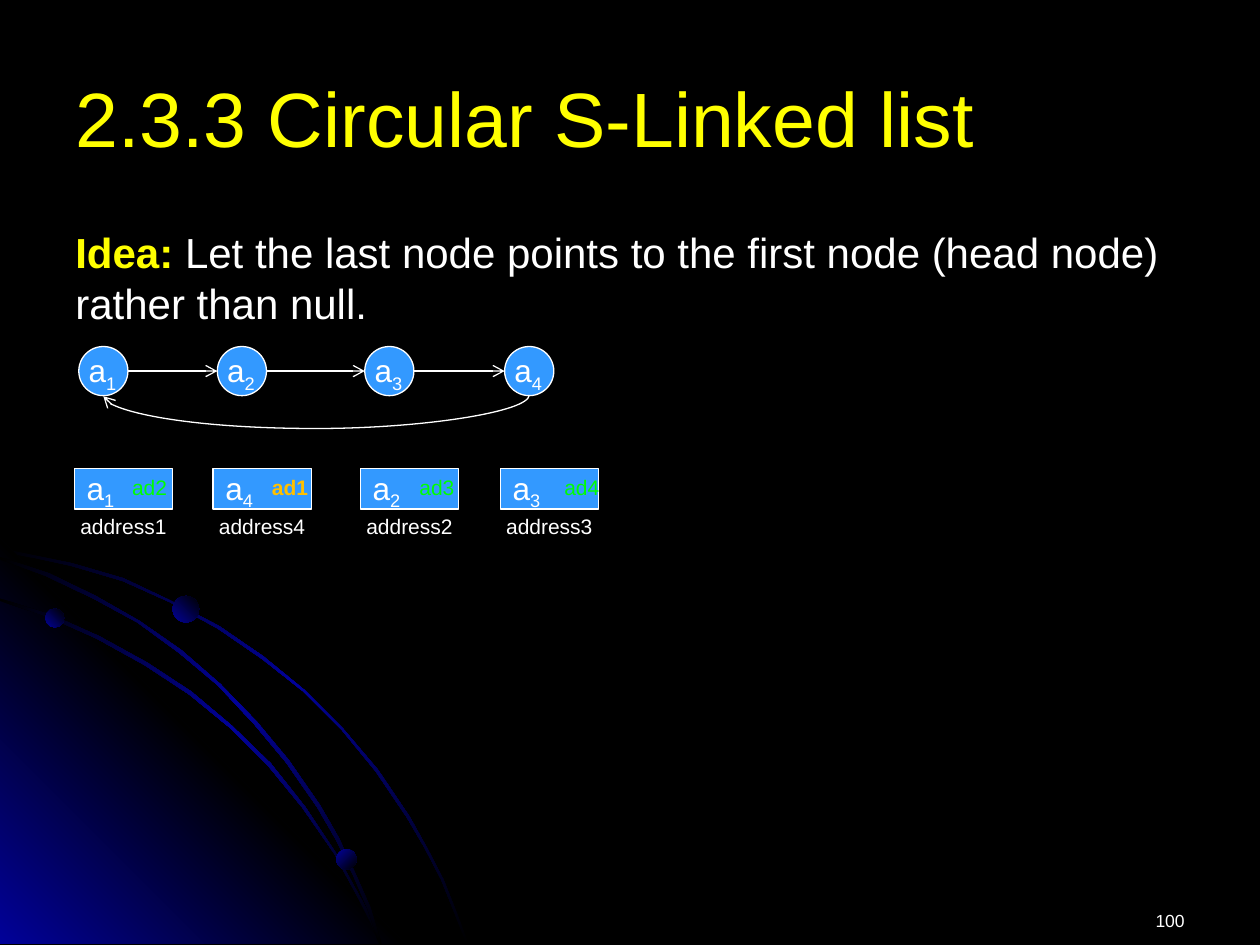
from lxml import etree
from pptx import Presentation
from pptx.dml.color import RGBColor
from pptx.enum.shapes import MSO_CONNECTOR, MSO_SHAPE
from pptx.enum.text import MSO_ANCHOR, MSO_AUTO_SIZE, PP_ALIGN
from pptx.oxml import parse_xml
from pptx.oxml.ns import nsdecls, qn
from pptx.util import Inches, Pt

BLACK = RGBColor(0, 0, 0)
NAVY = RGBColor(0x01, 0x01, 0x99)
WHITE = RGBColor(0xFF, 0xFF, 0xFF)
YELLOW = RGBColor(0xFF, 0xFF, 0)
SKY = RGBColor(0x33, 0x99, 0xFF)
GREEN = RGBColor(0, 0xFF, 0)
AMBER = RGBColor(0xFF, 0xC0, 0)

# Outlines in hundredths of an inch
ARCS = [
    [(57, 447), (28, 441), (0, 435), (0, 438), (28, 443), (56, 449), (97, 461),
     (135, 478), (173, 499), (208, 523), (241, 549), (271, 579), (298, 612),
     (323, 649), (337, 673), (350, 698), (360, 723), (370, 749), (372, 749),
     (362, 723), (352, 698), (339, 673), (325, 648), (300, 611), (272, 578),
     (242, 548), (209, 521), (174, 497), (136, 477), (98, 459)],
    [(285, 714), (294, 732), (301, 749), (303, 749), (296, 730), (286, 712),
     (266, 676), (242, 640), (215, 606), (184, 576), (152, 549), (117, 526),
     (79, 505), (41, 488), (0, 475), (0, 477), (39, 490), (77, 507),
     (115, 528), (150, 551), (183, 578), (213, 608), (240, 641), (265, 677)],
    [(0, 442), (0, 444), (36, 457), (74, 475), (109, 494), (142, 518),
     (173, 544), (202, 575), (227, 605), (252, 641), (267, 667), (280, 694),
     (292, 722), (301, 749), (303, 749), (294, 720), (282, 693), (269, 665),
     (254, 639), (229, 603), (204, 573), (175, 543), (144, 516), (111, 493),
     (76, 473), (39, 455)],
]
WEDGE = [(322, 749), (0, 749), (0, 427)]
DOTS = [(0.36, 4.83, 0.15, 315), (2.67, 6.74, 0.16, 45), (1.37, 4.73, 0.21, 315)]

# Left edge, node number, stored number, address, link, link offset, link colour
COLUMNS = [
    (0.59, "1", "1", "address1", "ad2", 0.36, GREEN),
    (1.69, "2", "4", "address4", "ad1", 0.37, AMBER),
    (2.86, "3", "2", "address2", "ad3", 0.37, GREEN),
    (3.97, "4", "3", "address3", "ad4", 0.41, GREEN),
]
NODE = 0.39
INSET = 0.035


def shade(shape, colours, angle):
    """Fill with evenly spaced gradient stops, without outline."""
    shape.shadow.inherit = False
    shape.line.fill.background()
    last = len(colours) - 1
    stops = "".join(
        f'<a:gs pos="{100000 * i // last}"><a:srgbClr val="{c}"/></a:gs>'
        for i, c in enumerate(colours))
    grad = parse_xml(
        f'<a:gradFill rotWithShape="1" {nsdecls("a")}><a:gsLst>{stops}</a:gsLst>'
        f'<a:lin ang="{angle * 60000}" scaled="1"/></a:gradFill>')
    shape._element.spPr.find(qn("a:ln")).addprevious(grad)


def trace(slide, points):
    pen = slide.shapes.build_freeform(*points[0], scale=Inches(0.01))
    pen.add_line_segments(points[1:], close=True)
    return pen.convert_to_shape()


def draw_orbits(slide):
    first, *rest = ARCS
    shade(trace(slide, first), [BLACK, NAVY, BLACK], 45)
    shade(trace(slide, WEDGE), [NAVY, BLACK, NAVY], 315)
    for arc in rest:
        shade(trace(slide, arc), [BLACK, NAVY, BLACK], 45)
    for x, y, size, angle in DOTS:
        dot = slide.shapes.add_shape(
            MSO_SHAPE.OVAL, Inches(x), Inches(y), Inches(size), Inches(size))
        shade(dot, [NAVY, BLACK], angle)


def write(slide, box, runs, size, align=PP_ALIGN.LEFT, wrap=True):
    """Place a text box; runs are (text, colour, bold, subscript)."""
    frame = slide.shapes.add_textbox(*map(Inches, box)).text_frame
    frame.word_wrap = wrap
    para = frame.paragraphs[0]
    para.alignment = align
    for text, colour, bold, sub in runs:
        run = para.add_run()
        run.text = text
        font = run.font
        font.name, font.size, font.bold = "Arial", Pt(size), bold
        font.color.rgb = colour
        if sub:
            run._r.get_or_add_rPr().set("baseline", "-25000")
    return frame


def label(slide, box, text, size, colour=WHITE, bold=False, sub="", **style):
    runs = [(text, colour, bold, False)]
    if sub:
        runs.append((sub, colour, bold, True))
    frame = write(slide, box, runs, size, **style)
    frame.auto_size = MSO_AUTO_SIZE.SHAPE_TO_FIT_TEXT


def block(slide, kind, *box):
    shape = slide.shapes.add_shape(kind, *map(Inches, box))
    shape.shadow.inherit = False
    shape.fill.solid()
    shape.fill.fore_color.rgb = SKY
    shape.line.color.rgb = WHITE
    shape.line.width = Pt(0.75)


def arrow(slide, kind, *ends):
    link = slide.shapes.add_connector(kind, *map(Inches, ends))
    link.line.color.rgb = WHITE
    link.line.width = Pt(0.75)
    etree.SubElement(link.line._get_or_add_ln(), qn("a:tailEnd"), type="arrow")
    etree.SubElement(link._element.spPr, qn("a:effectLst"))
    return link


def loop_back(slide, left, right, y, drop):
    """Curve from the right end down and back to the left end."""
    mid, half, thick = (left + right) / 2, (right - left) / 2, 0.01
    link = arrow(slide, MSO_CONNECTOR.CURVE, mid - thick / 2, y - half,
                 mid + thick / 2, y + half)
    props = link._element.spPr
    props.find(qn("a:xfrm")).set("rot", str(90 * 60000))
    guides = props.find(qn("a:prstGeom")).get_or_add_avLst()
    etree.SubElement(guides, qn("a:gd"), name="adj1",
                     fmla=f"val {round(drop / thick * 100000)}")


def draw_ring(slide, top):
    lefts = [col[0] + INSET for col in COLUMNS]
    for x in lefts:
        block(slide, MSO_SHAPE.OVAL, x, top, NODE, NODE)
    for x, after in zip(lefts, lefts[1:]):
        arrow(slide, MSO_CONNECTOR.STRAIGHT, x + NODE, top + NODE / 2,
              after, top + NODE / 2)
    for x, col in zip(lefts, COLUMNS):
        label(slide, (x - 0.02, top - 0.01, 0.43, 0.4), "a", 18,
              sub=col[1], wrap=False)
    loop_back(slide, lefts[0] + NODE / 2, lefts[-1] + NODE / 2, top + NODE, 0.27)


def draw_memory(slide, top):
    for x, _, value, place, link, shift, colour in COLUMNS:
        block(slide, MSO_SHAPE.RECTANGLE, x, top, 0.78, 0.32)
        label(slide, (x, top - 0.05, 0.43, 0.4), "a", 18, sub=value, wrap=False)
        label(slide, (x - 0.16, top + 0.31, 1.1, 0.3), place, 12,
              align=PP_ALIGN.CENTER)
        width = 0.52 if colour == AMBER else 0.48
        label(slide, (x + shift, top, width, 0.3), link, 12, colour,
              bold=colour == AMBER, wrap=False)


def main():
    deck = Presentation()
    deck.slide_width, deck.slide_height = Inches(10), Inches(7.5)
    slide = deck.slides.add_slide(deck.slide_layouts[6])
    slide.background.fill.solid()
    slide.background.fill.fore_color.rgb = BLACK
    draw_orbits(slide)
    write(slide, (7.17, 7.17, 2.33, 0.3), [("100", WHITE, False, False)], 10,
          PP_ALIGN.RIGHT)
    title = write(slide, (0.5, 0.3, 9, 1.25),
                  [("2.3.3 Circular S-Linked list", YELLOW, False, False)], 44)
    title.vertical_anchor = MSO_ANCHOR.MIDDLE
    write(slide, (0.5, 1.75, 9, 1.12), [
        ("Idea:", YELLOW, True, False),
        (" Let the last node points to the first node (head node) "
         "rather than null.", WHITE, False, False)], 24)
    draw_ring(slide, 2.75)
    draw_memory(slide, 3.72)
    deck.save("out.pptx")


if __name__ == "__main__":
    main()
